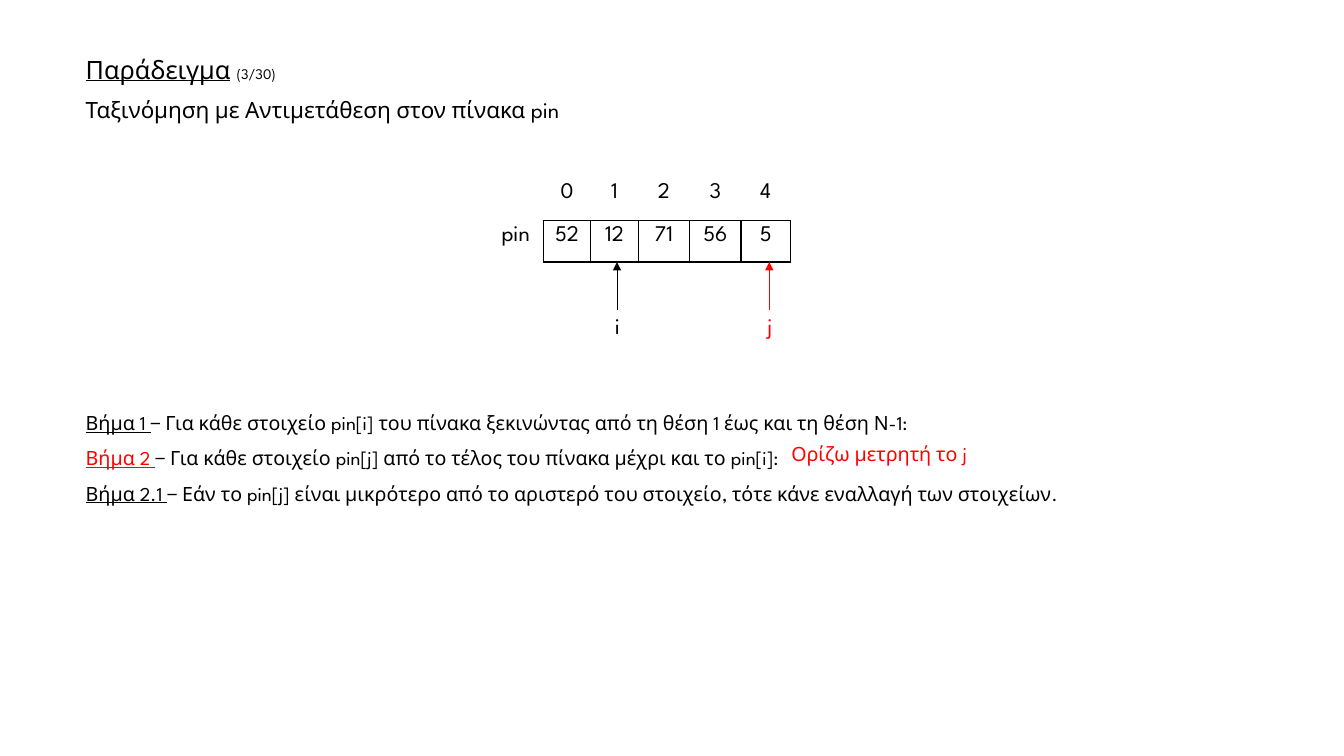
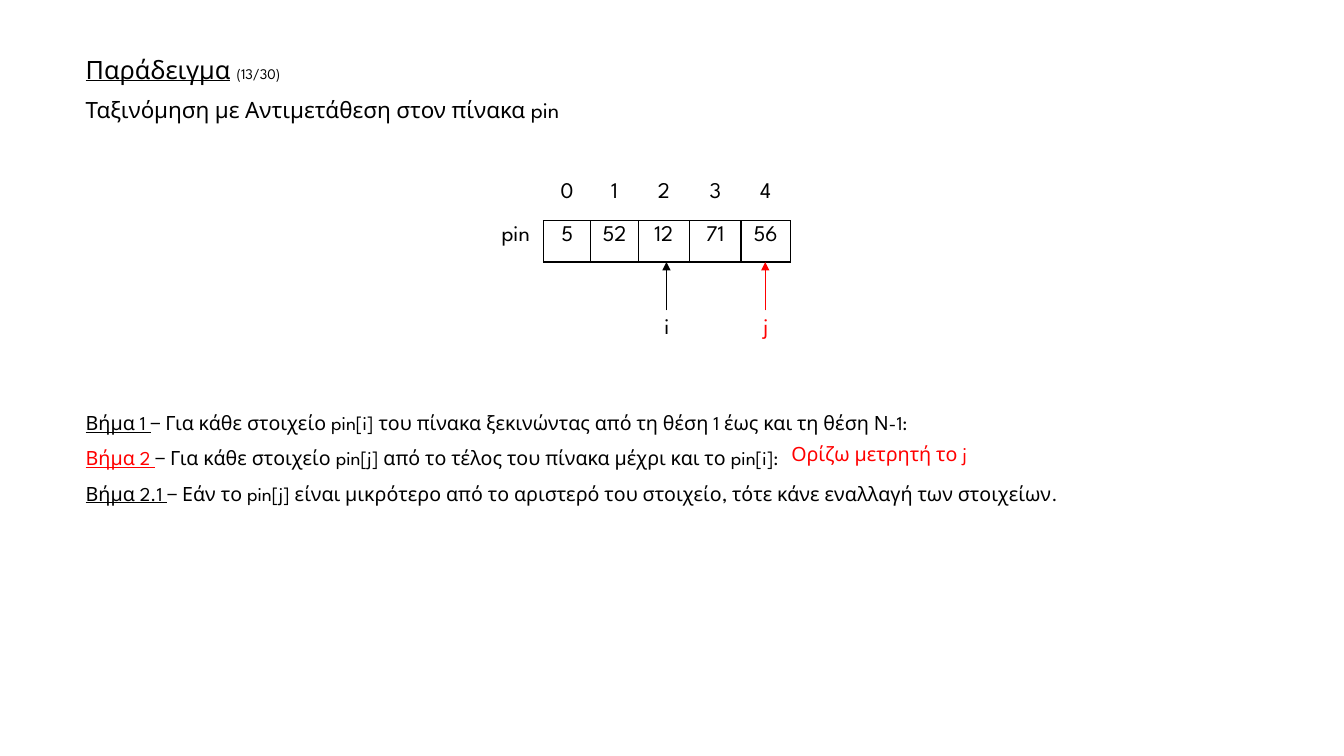
"""Build two slides that trace an exchange sort on the array pin."""
from lxml import etree
from pptx import Presentation
from pptx.dml.color import RGBColor
from pptx.enum.shapes import MSO_CONNECTOR
from pptx.enum.text import MSO_ANCHOR, MSO_AUTO_SIZE, PP_ALIGN
from pptx.oxml.ns import qn
from pptx.util import Inches, Pt

LEFT, CENTER = PP_ALIGN.LEFT, PP_ALIGN.CENTER
TOP = MSO_ANCHOR.TOP
FIXED, GROW = MSO_AUTO_SIZE.NONE, MSO_AUTO_SIZE.SHAPE_TO_FIT_TEXT
STRAIGHT = MSO_CONNECTOR.STRAIGHT
FONT = "League Spartan"
COLORS = {"ink": "000000", "active": "FF0000"}
PLAIN_TABLE_STYLE = "{2D5ABB26-0587-4C30-8999-92F81FD0307C}"

HEADING = "Παράδειγμα"
SUBTITLE = "Ταξινόμηση με Αντιμετάθεση στον πίνακα pin"
NOTE = "Ορίζω μετρητή το j"
STEPS = [
    ("Βήμα 1 ", "− Για κάθε στοιχείο pin[i] του πίνακα ξεκινώντας από τη θέση 1 έως και τη θέση Ν-1:", "ink"),
    ("Βήμα 2 ", "− Για κάθε στοιχείο pin[j] από το τέλος του πίνακα μέχρι και το pin[i]:", "active"),
    ("Βήμα 2.1 ", "− Εάν το pin[j] είναι μικρότερο από το αριστερό του στοιχείο, "
     "τότε κάνε εναλλαγή των στοιχείων.", "ink"),
]
SLIDES = [
    {"page": "(3/30)", "values": [52, 12, 71, 56, 5],
     "pointers": [("i", 6.12, "ink"), ("j", 7.63, "active")]},
    {"page": "(13/30)", "values": [5, 52, 12, 71, 56],
     "pointers": [("i", 6.61, "ink"), ("j", 7.59, "active")]},
]

TITLE_BOX = (0.75, 0.52, 10.79, 0.77)
STEPS_BOX = (0.75, 3.91, 11.53, 1.12)
NOTE_BOX = (7.75, 4.36, 2.56, 0.39)
TABLE_LEFT, TABLE_TOP = 4.84, 1.76
COLUMN_WIDTHS = [0.55, 0.47, 0.47, 0.51, 0.51, 0.49]
ROW_HEIGHTS = [0.43, 0.41]
POINTER_TOP, POINTER_WIDTH, POINTER_HEIGHT = 3.08, 0.24, 0.36


def add_text(paragraph, text, size=16, color="ink", underline=False,
             align=LEFT, line_spacing=0.9, space_before=0):
    """Append a formatted run and set the format of its paragraph."""
    paragraph.alignment = align
    paragraph.line_spacing = line_spacing
    paragraph.space_before = Pt(space_before)
    run = paragraph.add_run()
    run.text = text
    run.font.name = FONT
    run.font.size = Pt(size)
    run.font.underline = underline
    run.font.color.rgb = RGBColor.from_string(COLORS[color])


def place(shape, box, auto_size=FIXED):
    """Move a text shape to its box and return its text frame."""
    shape.left, shape.top, shape.width, shape.height = map(Inches, box)
    frame = shape.text_frame
    frame.word_wrap = True
    frame.auto_size = auto_size
    frame.vertical_anchor = TOP
    return frame


def add_label(slide, box, text, **text_format):
    """Add a text box that holds one line."""
    label = slide.shapes.add_textbox(0, 0, 0, 0)
    add_text(place(label, box).paragraphs[0], text, **text_format)
    return label


def add_title(slide, page):
    """Fill the title placeholder with heading, page and subtitle."""
    frame = place(slide.shapes.title, TITLE_BOX)
    heading = frame.paragraphs[0]
    add_text(heading, HEADING, size=18, underline=True)
    add_text(heading, " ", size=18)
    add_text(heading, page, size=10.5)
    add_text(frame.add_paragraph(), SUBTITLE, space_before=10)


def add_steps(slide):
    """Fill the body placeholder with the steps, without bullets."""
    frame = place(slide.placeholders[1], STEPS_BOX, GROW)
    for index, (name, rule, color) in enumerate(STEPS):
        paragraph = frame.add_paragraph() if index else frame.paragraphs[0]
        properties = paragraph._p.get_or_add_pPr()
        properties.set("marL", "0")
        properties.set("indent", "0")
        etree.SubElement(properties, qn("a:buNone"))
        add_text(paragraph, name, size=14, color=color, underline=True, line_spacing=1.5)
        add_text(paragraph, rule, size=14, line_spacing=1.5)


def outline_cell(cell):
    """Draw a thin line on all four sides of a cell."""
    properties = cell._tc.get_or_add_tcPr()
    for position, side in enumerate(("lnL", "lnR", "lnT", "lnB")):
        line = etree.Element(qn(f"a:{side}"), w=str(Pt(1)))
        fill = etree.SubElement(line, qn("a:solidFill"))
        etree.SubElement(fill, qn("a:srgbClr"), val=COLORS["ink"])
        properties.insert(position, line)


def add_array(slide, values):
    """Add the array as a table with its indices above the values."""
    rows = [["", *range(len(values))], ["pin", *values]]
    table = slide.shapes.add_table(
        len(rows), len(COLUMN_WIDTHS), Inches(TABLE_LEFT), Inches(TABLE_TOP),
        Inches(sum(COLUMN_WIDTHS)), Inches(sum(ROW_HEIGHTS))).table
    table.first_row = table.horz_banding = False
    table._tbl.tblPr.find(qn("a:tableStyleId")).text = PLAIN_TABLE_STYLE
    for column, width in zip(table.columns, COLUMN_WIDTHS):
        column.width = Inches(width)
    for row_index, (row, height) in enumerate(zip(rows, ROW_HEIGHTS)):
        table.rows[row_index].height = Inches(height)
        for column_index, value in enumerate(row):
            cell = table.cell(row_index, column_index)
            cell.fill.background()
            add_text(cell.text_frame.paragraphs[0], str(value), align=CENTER, line_spacing=1)
            if row_index and column_index:
                outline_cell(cell)


def add_pointer(slide, name, center, color):
    """Add an index name with an arrow up to the array."""
    box = (center - POINTER_WIDTH / 2, POINTER_TOP, POINTER_WIDTH, POINTER_HEIGHT)
    label = add_label(slide, box, name, color=color, align=CENTER)
    arrow = slide.shapes.add_connector(
        STRAIGHT, Inches(center), Inches(POINTER_TOP),
        Inches(center), Inches(TABLE_TOP + sum(ROW_HEIGHTS)))
    arrow.begin_connect(label, 0)
    arrow.line.width = Pt(0.5)
    arrow.line.color.rgb = RGBColor.from_string(COLORS[color])
    etree.SubElement(arrow.line._get_or_add_ln(), qn("a:tailEnd"), type="triangle")
    etree.SubElement(arrow._element.spPr, qn("a:effectLst"))


def main():
    """Build and save the presentation."""
    presentation = Presentation()
    presentation.slide_width = Inches(13.33)
    presentation.slide_height = Inches(7.5)
    for content in SLIDES:
        slide = presentation.slides.add_slide(presentation.slide_layouts[1])
        add_title(slide, content["page"])
        add_steps(slide)
        add_array(slide, content["values"])
        add_label(slide, NOTE_BOX, NOTE, size=14, color="active")
        for pointer in content["pointers"]:
            add_pointer(slide, *pointer)
    presentation.save("out.pptx")


if __name__ == "__main__":
    main()
